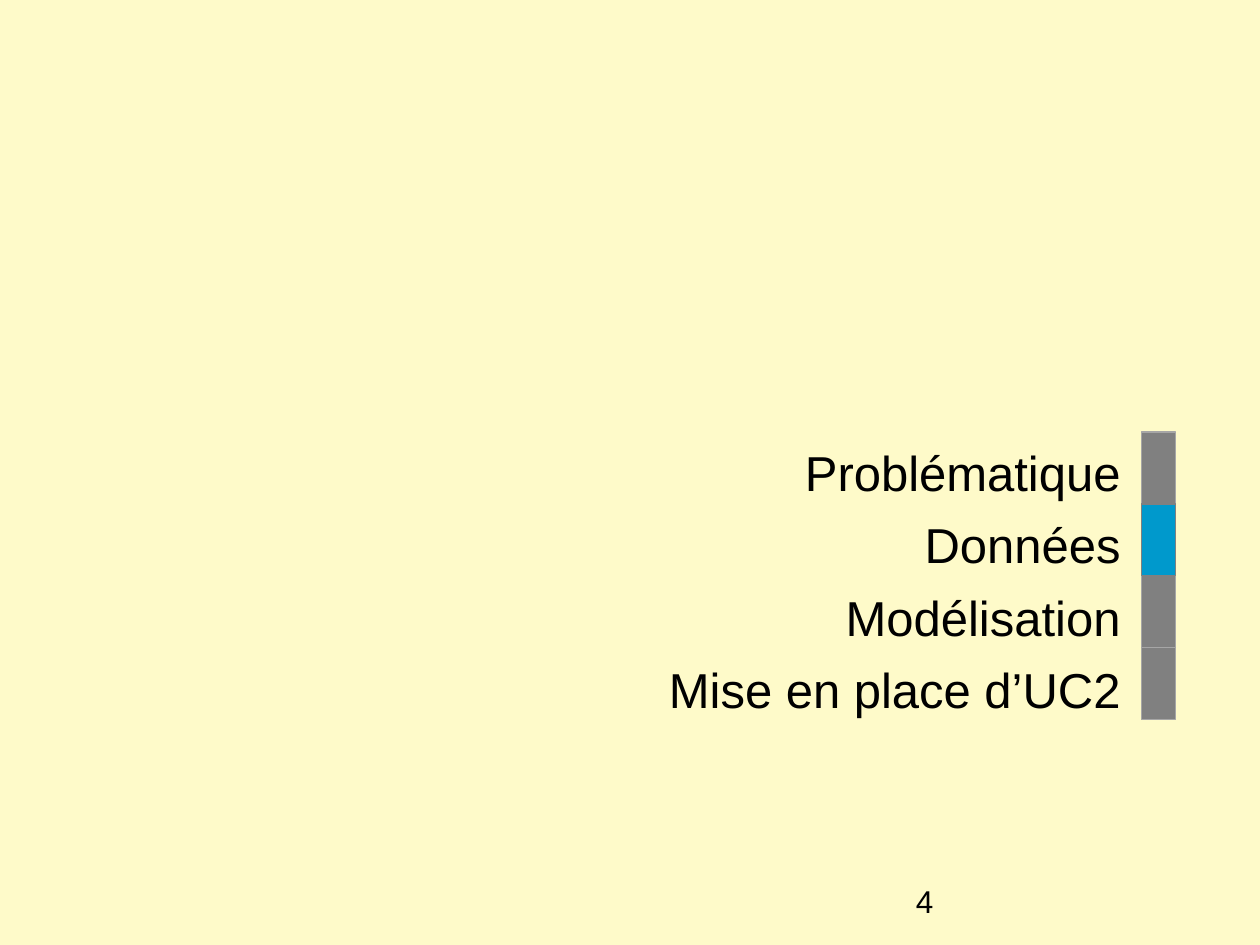
from dataclasses import dataclass

from pptx import Presentation
from pptx.dml.color import RGBColor as RGB
from pptx.enum.shapes import MSO_SHAPE as SHAPE
from pptx.enum.text import PP_ALIGN as ALIGN
from pptx.util import Inches, Pt


@dataclass(frozen=True)
class Theme:
    background: RGB = RGB.from_string("FEFAC9")
    text: RGB = RGB.from_string("000000")
    inactive: RGB = RGB.from_string("808080")
    inactive_line: RGB = RGB.from_string("A6A6A6")
    active: RGB = RGB.from_string("0099CC")
    active_line: RGB = RGB.from_string("808080")
    font: str = "Arial"
    agenda_size: Pt = Pt(28)
    number_size: Pt = Pt(18)


theme = Theme()
AGENDA = ["Problématique", "Données", "Modélisation", "Mise en place d’UC2"]
CURRENT = 1


def add_text(s, box, lines, size, align):
    tf = s.shapes.add_textbox(*map(Inches, box)).text_frame
    tf.word_wrap = True
    tf.text = "\n".join(lines)
    for i, p in enumerate(tf.paragraphs):
        p.alignment = align
        if i:
            p.space_before = Pt(7.8)
        font = p.runs[0].font
        font.name, font.size = theme.font, size
        font.color.rgb = theme.text


prs = Presentation()
prs.slide_width, prs.slide_height = Inches(10), Inches(7.5)
s = prs.slides.add_slide(prs.slide_layouts[6])
s.background.fill.solid()
s.background.fill.fore_color.rgb = theme.background

# Slide number
add_text(s, (7.17, 6.95, 2.33, 0.4), ["4"], theme.number_size, ALIGN.LEFT)

# Agenda
add_text(s, (4.07, 3.46, 4.92, 2.33), AGENDA, theme.agenda_size, ALIGN.RIGHT)

# Progress bar: one block per section, the current one drawn last
STEP = 0.57
for i in sorted(range(len(AGENDA)), key=lambda n: n == CURRENT):
    active = i == CURRENT
    block = s.shapes.add_shape(SHAPE.RECTANGLE, Inches(9.06), Inches(3.43 + i * STEP),
                               Inches(0.27), Inches(STEP))
    block.shadow.inherit = False
    block.fill.solid()
    block.fill.fore_color.rgb = theme.active if active else theme.inactive
    block.line.color.rgb = theme.active_line if active else theme.inactive_line
    block.line.width = Pt(0.75)

prs.save("out.pptx")
